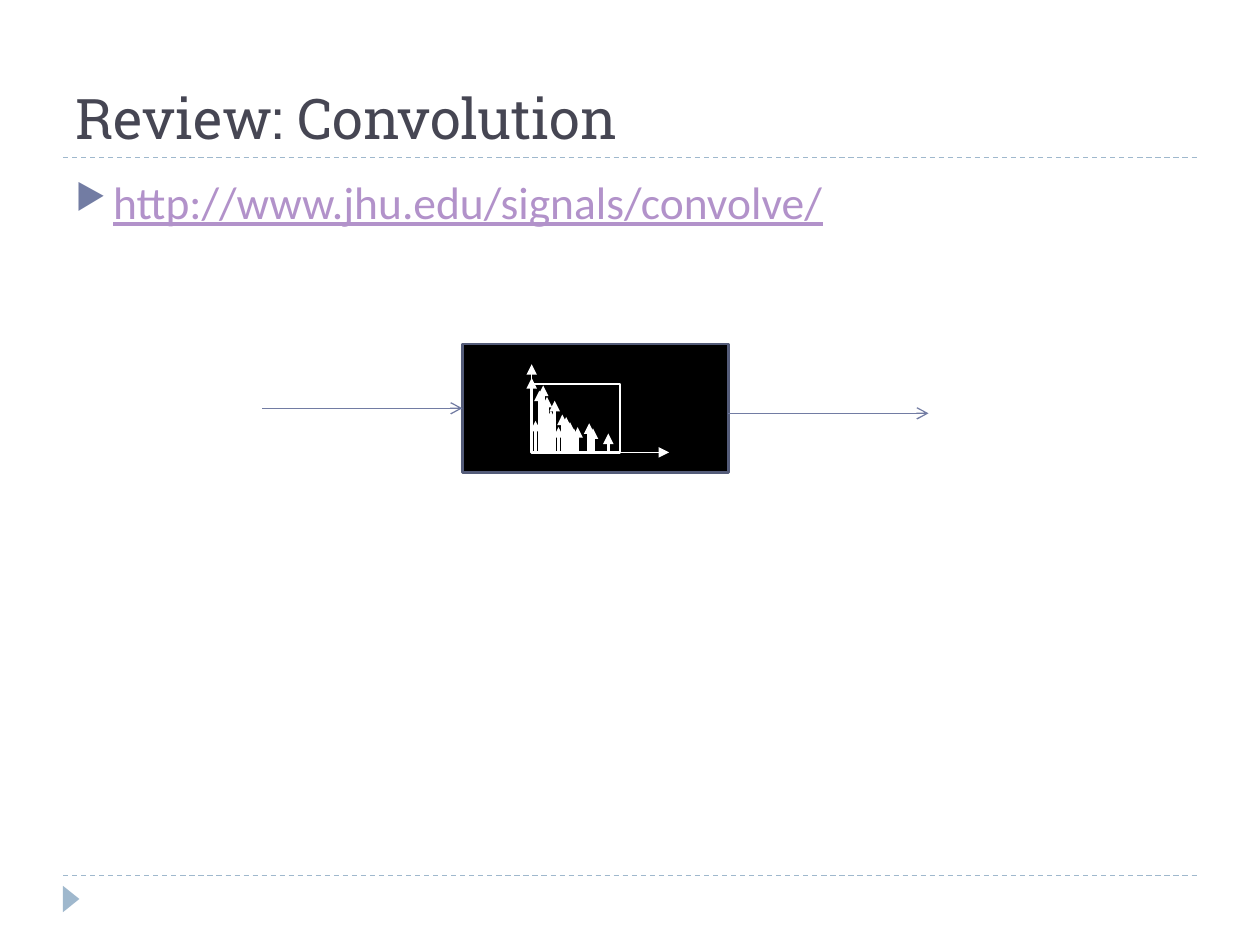
from lxml import etree
from pptx import Presentation
from pptx.dml.color import RGBColor
from pptx.enum import dml, shapes, text
from pptx.oxml.ns import qn
from pptx.util import Pt

TITLE = "Review: Convolution"
BODY = "http://www.jhu.edu/signals/convolve/"
HUES = {"title": "464653", "link": "B292CA", "mark": "727CA3", "rule": "9FB8CD",
        "edge": "545C79", "box": "000000", "plot": "FFFFFF"}

# Impulse response: (slot, height in points)
STEMS = [(0, 42.5), (1, 18), (2, 35.3), (3, 38.2), (4, 31.7), (5, 23.8),
         (6, 29.5), (7, 14.4), (8, 21.6), (9, 20.2), (10, 17.3), (11, 13.7),
         (12, 14.4), (15, 16.6), (16, 13.7), (20, 10.8)]
STEP = 2.19
ZERO = (303.84, 258.5)  # origin of the plot
RULES = [90, 500.4]
BOX = (264.2, 196.6, 152, 73.4)


def hue(name):
    return RGBColor.from_string(HUES[name])


def add_line(parent, start, end, color, width, head=None, dash=False):
    ends = [Pt(v) for v in (*start, *end)]
    line = parent.add_connector(shapes.MSO_CONNECTOR.STRAIGHT, *ends)
    line.line.color.rgb = hue(color)
    line.line.width = Pt(width)
    if dash:
        line.line.dash_style = dml.MSO_LINE.DASH
    props = line._element.spPr
    if head:
        etree.SubElement(props.find(qn("a:ln")), qn("a:tailEnd"), type=head)
    etree.SubElement(props, qn("a:effectLst"))
    return line


def add_shape(kind, area, fill=None, edge=None):
    shape = slide.shapes.add_shape(kind, *[Pt(v) for v in area])
    shape.shadow.inherit = False
    if fill:
        shape.fill.solid()
        shape.fill.fore_color.rgb = hue(fill)
    else:
        shape.fill.background()
    if edge:
        shape.line.color.rgb = hue(edge)
        shape.line.width = Pt(1.5)
    else:
        shape.line.fill.background()
    return shape


def set_text(shape, area, words, face, size, color, anchor):
    shape.left, shape.top, shape.width, shape.height = [Pt(v) for v in area]
    frame = shape.text_frame
    frame.word_wrap = True
    frame.auto_size = text.MSO_AUTO_SIZE.NONE
    frame.vertical_anchor = anchor
    para = frame.paragraphs[0]
    para.text = words
    para.alignment = text.PP_ALIGN.LEFT
    if shape.is_placeholder is False:
        add_bullet(para)
    font = para.font
    font.name, font.size, font.color.rgb = face, Pt(size), hue(color)
    return font


def add_bullet(para):
    props = para._p.get_or_add_pPr()
    props.set("marL", str(Pt(21.6)))
    props.set("indent", str(Pt(-21.6)))
    tint = etree.SubElement(props, qn("a:buClr"))
    etree.SubElement(tint, qn("a:srgbClr"), val=HUES["mark"])
    etree.SubElement(props, qn("a:buSzPct"), val="76000")
    etree.SubElement(props, qn("a:buChar"), char="▶")


deck = Presentation()
deck.slide_width, deck.slide_height = Pt(720), Pt(540)
slide = deck.slides.add_slide(deck.slide_layouts[5])

# Rules and corner mark
for y in RULES:
    add_line(slide.shapes, (36, y), (684, y), "rule", 0.75, dash=True)
mark = add_shape(shapes.MSO_SHAPE.ISOSCELES_TRIANGLE, (33.1, 509, 15.1, 9.4), "rule")
mark.rotation = 90

# Title and body
set_text(slide.shapes.title, (36, 12.2, 648, 77.8), TITLE, "Roboto Slab", 32,
         "title", text.MSO_ANCHOR.BOTTOM)
body = slide.shapes.add_textbox(0, 0, 0, 0)
font = set_text(body, (36, 95.8, 648, 388.8), BODY, "Calibri", 26, "link",
                text.MSO_ANCHOR.TOP)
font.underline = True

# System box with input and output arrows
box = add_shape(shapes.MSO_SHAPE.RECTANGLE, BOX, "box", "edge")
left, top, wide, high = BOX
mid = top + high / 2
feed = add_line(slide.shapes, (left - 114.4, mid), (left, mid), "mark", 0.75, "arrow")
feed.end_connect(box, 1)
right = left + wide
add_line(slide.shapes, (right, 236.2), (right + 114.4, 236.2), "mark", 0.75, "arrow")

# Impulse response plot
plot = slide.shapes.add_group_shape().shapes
x0, y0 = ZERO
add_line(plot, ZERO, (x0 + 78.5, y0), "plot", 0.75, "triangle")
for slot, tall in STEMS:
    x = x0 + slot * STEP
    add_line(plot, (x, y0), (x, y0 - tall), "plot", 2, "triangle")
add_line(plot, ZERO, (x0, y0 - 50.4), "plot", 0.75, "triangle")
add_shape(shapes.MSO_SHAPE.RECTANGLE, (x0, 219.4, 50.4, 39.4), edge="plot")

deck.save("out.pptx")
